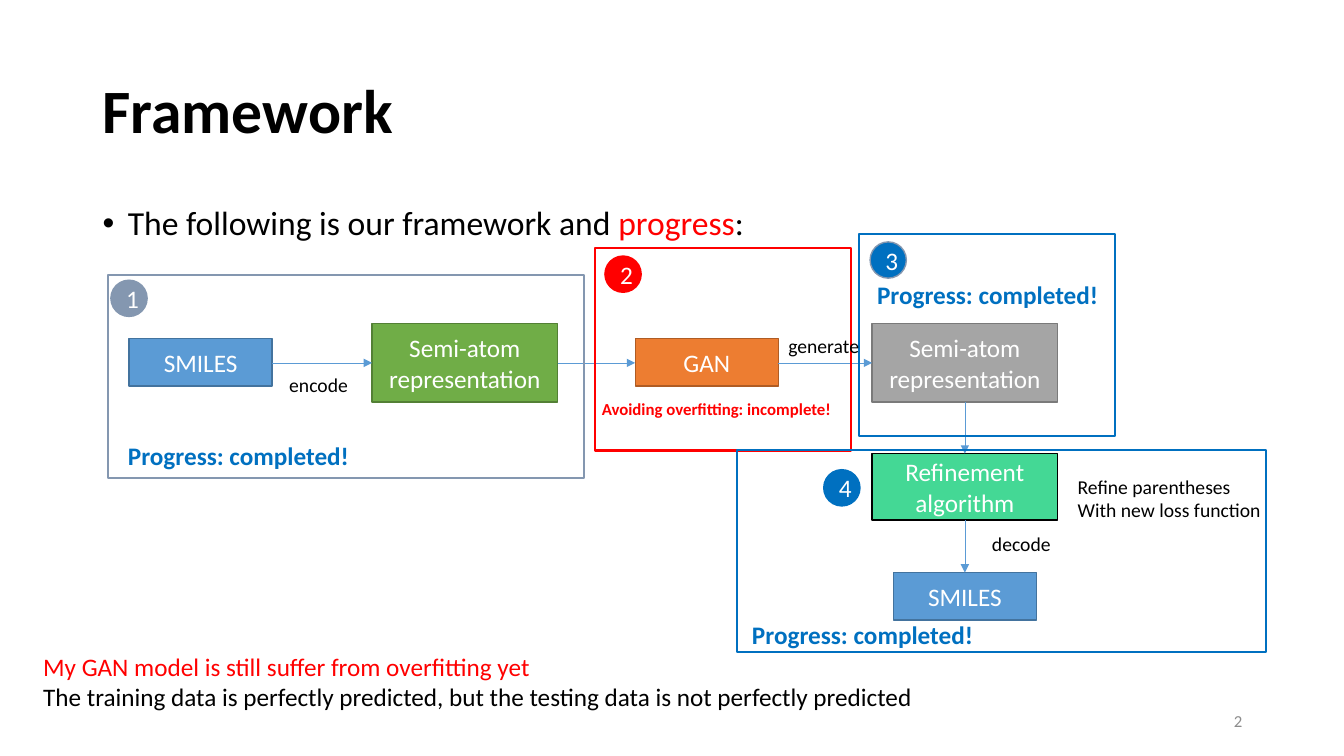
"""Build the Framework slide: a four-stage pipeline with progress notes."""
from lxml import etree
from pptx import Presentation
from pptx.dml.color import RGBColor
from pptx.enum.shapes import MSO_CONNECTOR, MSO_SHAPE
from pptx.enum.text import MSO_ANCHOR, PP_ALIGN
from pptx.oxml.ns import qn
from pptx.util import Inches, Pt

RECT, OVAL = MSO_SHAPE.RECTANGLE, MSO_SHAPE.OVAL
STRAIGHT = MSO_CONNECTOR.STRAIGHT
TOP, MIDDLE = MSO_ANCHOR.TOP, MSO_ANCHOR.MIDDLE
LEFT, CENTER, RIGHT = PP_ALIGN.LEFT, PP_ALIGN.CENTER, PP_ALIGN.RIGHT

BLACK = RGBColor(0x00, 0x00, 0x00)
WHITE = RGBColor(0xFF, 0xFF, 0xFF)
RED = RGBColor(0xFF, 0x00, 0x00)
BLUE = RGBColor(0x00, 0x70, 0xC0)
SLATE = RGBColor(0x84, 0x97, 0xB0)
SKY = RGBColor(0x5B, 0x9B, 0xD5)
SKY_EDGE = RGBColor(0x43, 0x73, 0x9E)
GREEN = RGBColor(0x70, 0xAD, 0x47)
GREEN_EDGE = RGBColor(0x53, 0x80, 0x35)
ORANGE = RGBColor(0xED, 0x7D, 0x31)
ORANGE_EDGE = RGBColor(0xAF, 0x5C, 0x24)
GRAY = RGBColor(0xA5, 0xA5, 0xA5)
GRAY_EDGE = RGBColor(0x7A, 0x7A, 0x7A)
MINT = RGBColor(0x44, 0xD8, 0x95)
PAGE_GRAY = RGBColor(0x8C, 0x8C, 0x8C)

prs = Presentation()
prs.slide_width, prs.slide_height = Inches(13.33), Inches(7.5)
s = prs.slides.add_slide(prs.slide_layouts[6])


def write(sp, *paragraphs, size=18, color=BLACK, bold=False, align=LEFT,
          anchor=TOP, wrap=True, spacing=None):
    """Fill a shape with paragraphs, each a list of (text, colour or None) runs."""
    tf = sp.text_frame
    tf.word_wrap, tf.vertical_anchor = wrap, anchor
    for i, runs in enumerate(paragraphs):
        p = tf.add_paragraph() if i else tf.paragraphs[0]
        p.alignment, p.line_spacing = align, spacing
        for text, run_color in runs:
            r = p.add_run()
            r.text = text
            r.font.name, r.font.size, r.font.bold = "Calibri", Pt(size), bold
            r.font.color.rgb = run_color or color
    return tf


def draw(kind, box, fill, edge, width=1):
    """Draw a preset shape, unfilled when fill is None."""
    sp = s.shapes.add_shape(kind, *map(Inches, box))
    sp.shadow.inherit = False
    if fill is None:
        sp.fill.background()
    else:
        sp.fill.solid()
        sp.fill.fore_color.rgb = fill
    sp.line.color.rgb, sp.line.width = edge, Pt(width)
    return sp


headings = [
    ((0.92, 0.4, 11.5, 1.45), [("Framework", None)],
     dict(size=44, bold=True, anchor=MIDDLE, spacing=0.9)),
    ((9.42, 6.95, 3, 0.4), [("2", None)],
     dict(size=12, color=PAGE_GRAY, align=RIGHT, anchor=MIDDLE)),
]
for box, runs, style in headings:
    write(s.shapes.add_textbox(*map(Inches, box)), runs, **style)

body = s.shapes.add_textbox(*map(Inches, (0.92, 2, 11.5, 4.76)))
tf = write(body, [("The following is our framework and ", None),
                  ("progress", RED), (":", None)], size=24, spacing=0.9)
p = tf.paragraphs[0]
p.space_before = Pt(10)
pPr = p._p.get_or_add_pPr()
pPr.set("marL", str(Inches(0.25)))
pPr.set("indent", str(Inches(-0.25)))
etree.SubElement(pPr, qn("a:buFont")).set("typeface", "Arial")
etree.SubElement(pPr, qn("a:buChar")).set("char", "•")

steps = [
    ("SMILES", (1.28, 3.36, 1.42, 0.47), SKY, SKY_EDGE),
    ("Semi-atom representation", (3.69, 3.21, 1.84, 0.78), GREEN, GREEN_EDGE),
    ("GAN", (6.3, 3.36, 1.42, 0.47), ORANGE, ORANGE_EDGE),
    ("Semi-atom representation", (8.65, 3.21, 1.84, 0.78), GRAY, GRAY_EDGE),
    ("Refinement algorithm", (8.65, 4.5, 1.84, 0.66), MINT, BLACK),
    ("SMILES", (8.86, 5.68, 1.42, 0.47), SKY, SKY_EDGE),
]
for text, box, fill, edge in steps:
    write(draw(RECT, box, fill, edge), [(text, None)],
          color=WHITE, align=CENTER, anchor=MIDDLE)

ROW_Y, COLUMN_X = 3.6, 9.57
arrows = [
    (2.7, ROW_Y, 3.69, ROW_Y),
    (5.53, ROW_Y, 6.3, ROW_Y),
    (7.72, ROW_Y, 8.65, ROW_Y),
    (COLUMN_X, 3.99, COLUMN_X, 4.5),
    (COLUMN_X, 5.16, COLUMN_X, 5.68),
]
for ends in arrows:
    arrow = s.shapes.add_connector(STRAIGHT, *map(Inches, ends))
    arrow.line.color.rgb, arrow.line.width = SKY, Pt(0.5)
    etree.SubElement(arrow.line._get_or_add_ln(), qn("a:tailEnd")).set("type", "triangle")
    etree.SubElement(arrow._element.spPr, qn("a:effectLst"))

frames = [
    ((1.07, 2.73, 4.72, 2.01), SLATE),
    ((5.9, 2.46, 2.54, 2.01), RED),
    ((8.52, 2.32, 2.54, 2.01), BLUE),
    ((7.31, 4.46, 5.25, 2.01), BLUE),
]
for box, edge in frames:
    draw(RECT, box, None, edge, 1.5)

badges = [(1.1, 2.78, SLATE, SLATE), (6, 2.54, RED, RED),
          (8.63, 2.4, BLUE, SLATE), (8.17, 4.66, BLUE, BLUE)]
for number, (x, y, fill, edge) in enumerate(badges, 1):
    write(draw(OVAL, (x, y, 0.36, 0.36), fill, edge), [(str(number), None)],
          color=WHITE, align=CENTER, anchor=MIDDLE)

step_note = dict(size=14)
done_note = dict(color=BLUE, bold=True)
notes = [
    ((7.72, 3.26, 0.91, 0.34), ["generate"], step_note),
    ((2.77, 3.65, 0.79, 0.34), ["encode"], step_note),
    ((9.74, 5.23, 0.79, 0.34), ["decode"], step_note),
    ((10.59, 4.66, 2.04, 0.57), ["Refine parentheses", "With new loss function"], step_note),
    ((1.17, 4.32, 2.41, 0.4), ["Progress: completed!"], done_note),
    ((8.6, 2.72, 2.41, 0.4), ["Progress: completed!"], done_note),
    ((7.36, 6.09, 2.41, 0.4), ["Progress: completed!"], done_note),
    ((5.87, 3.91, 2.51, 0.3), ["Avoiding overfitting: incomplete!"],
     dict(size=12, color=RED, bold=True)),
]
for box, lines, style in notes:
    write(s.shapes.add_textbox(*map(Inches, box)),
          *[[(line, None)] for line in lines], wrap=False, **style)

summary = s.shapes.add_textbox(*map(Inches, (0.33, 6.41, 8.93, 0.71)))
write(summary, [("My GAN model is still suffer from overfitting yet", RED)],
      [("The training data is perfectly predicted, "
        "but the testing data is not perfectly predicted", None)], wrap=False)

prs.save("out.pptx")
